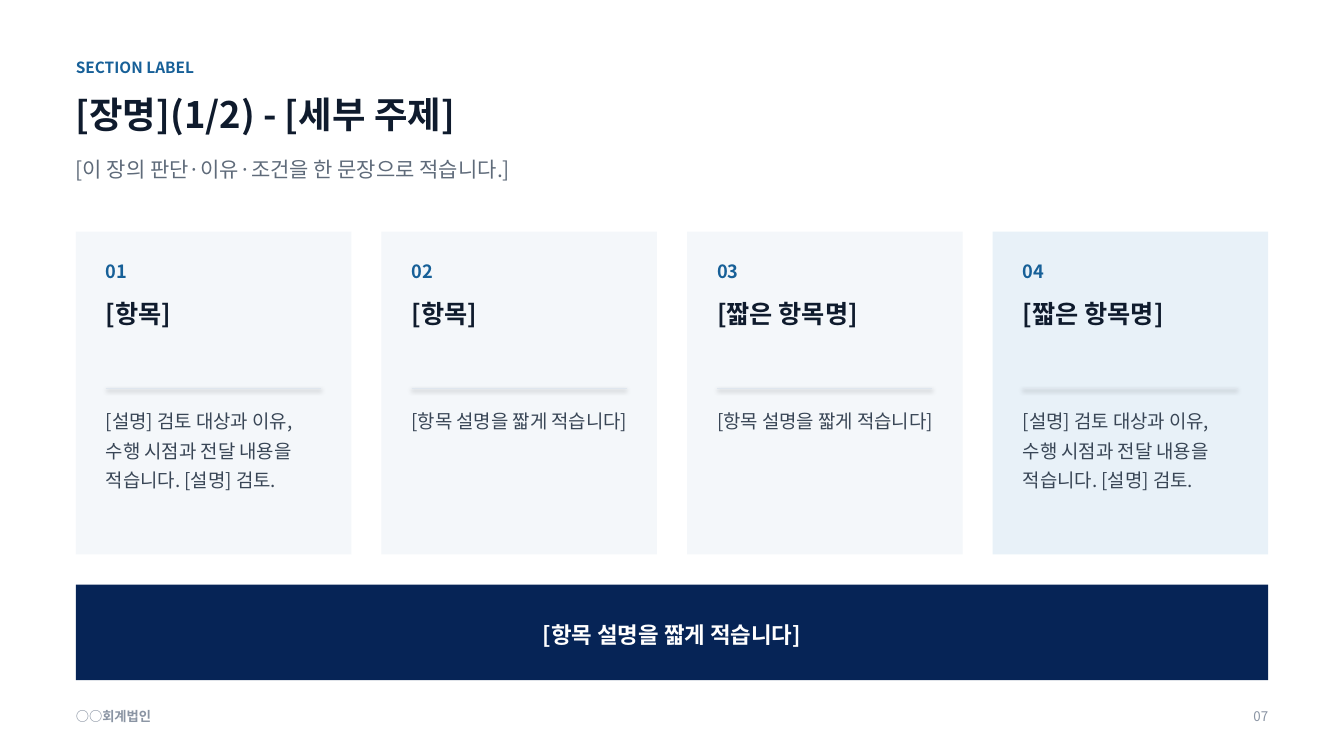
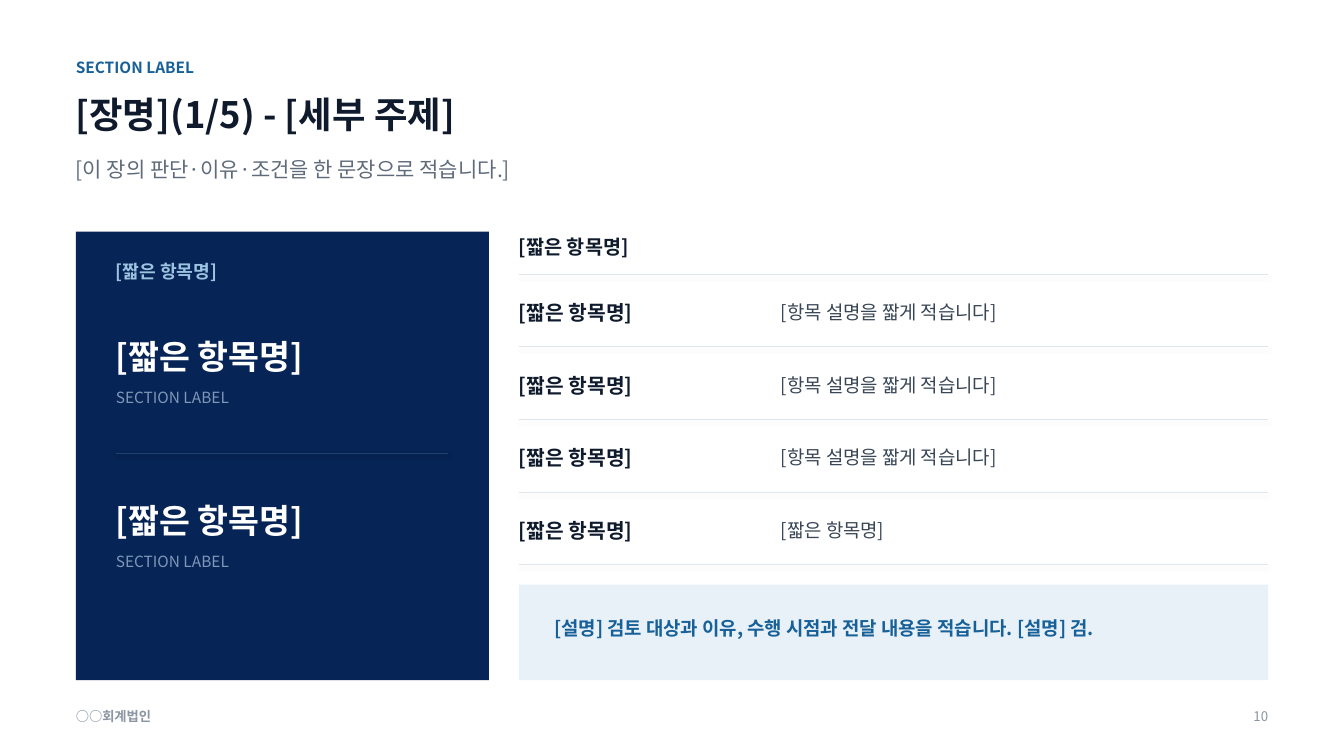
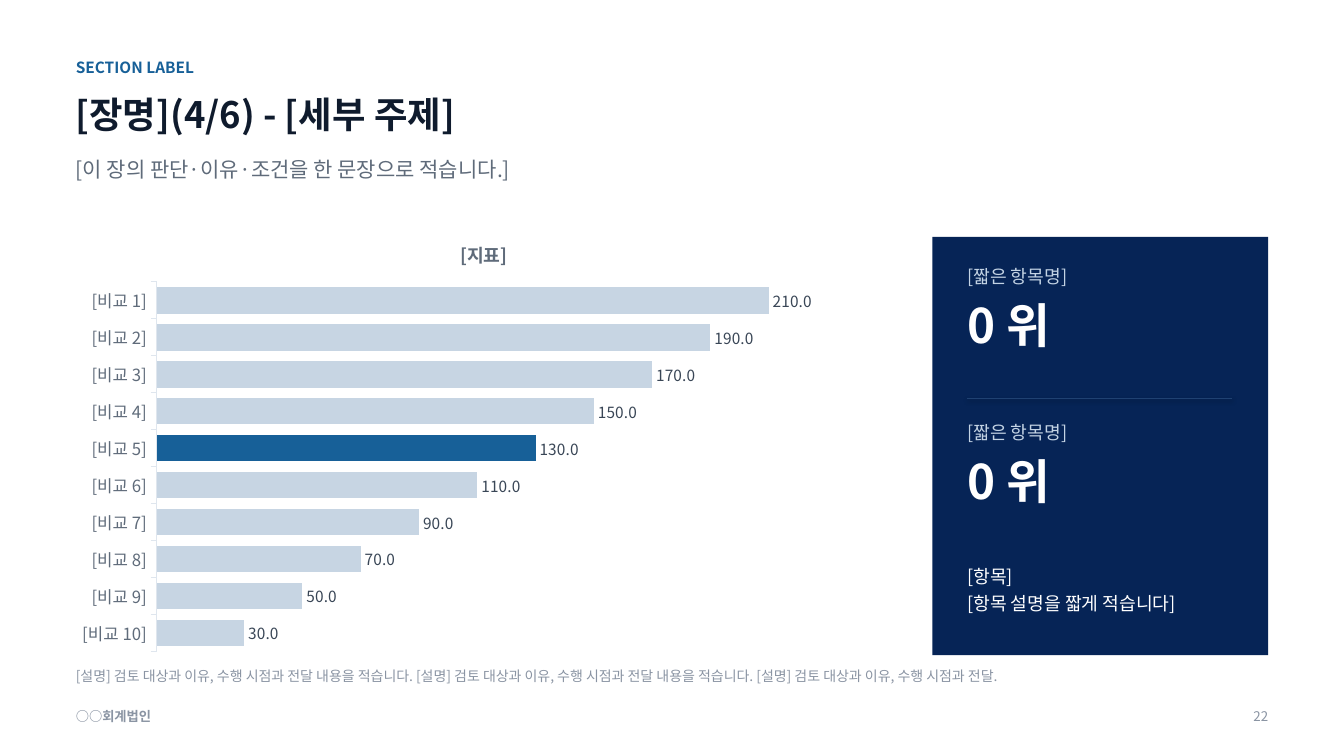
from pptx import Presentation
from pptx.chart.data import CategoryChartData
from pptx.dml.color import RGBColor
from pptx.enum.chart import XL_CHART_TYPE as CHART, XL_LABEL_POSITION as LABEL_POS
from pptx.enum.chart import XL_TICK_MARK as TICK
from pptx.enum.shapes import MSO_CONNECTOR as CONNECTOR, MSO_SHAPE as SHAPE
from pptx.enum.text import MSO_ANCHOR as ANCHOR, PP_ALIGN as ALIGN
from pptx.oxml.ns import qn
from pptx.util import Cm, Pt

FONT = "Noto Sans CJK KR"
COLORS = {
    "white": "FFFFFF", "ink": "0F1B2D", "body": "394656", "muted": "5F6B7A",
    "faint": "8A94A3", "blue": "176098", "navy": "062456", "card": "F4F7FA",
    "tint": "E8F1F8", "rule": "DFE6EE", "navy_rule": "1F4172", "sky": "9CC3E0",
    "steel": "7F97B8", "mist": "C3D3E4", "bar": "C7D5E3",
}
LEFT, WIDTH, TOP = 1.91, 30.05, 5.84
GAP = 0.76
BAND_TOP, BAND_H = 14.73, 2.41

ITEM = "[짧은 항목명]"
BRIEF = "[항목 설명을 짧게 적습니다]"
LABEL = "SECTION LABEL"
DETAIL = "[설명] 검토 대상과 이유, 수행 시점과 전달 내용을 적습니다."


def rgb(name):
    return RGBColor.from_string(COLORS[name])


def set_font(font, size, color, bold=False):
    for key, value in {"name": FONT, "size": Pt(size), "bold": bold}.items():
        setattr(font, key, value)
    font.color.rgb = rgb(color)


class Deck:
    def __init__(self):
        self.prs = Presentation()
        self.prs.slide_width, self.prs.slide_height = Cm(33.87), Cm(19.05)
        self.s = None

    def slide(self, title, page):
        """Start a slide with its heading and footer."""
        self.s = self.prs.slides.add_slide(self.prs.slide_layouts[6])
        self.text(LABEL, LEFT, 1.4, 22.86, 0.64, 11, "blue", bold=True)
        self.text(title, LEFT, 2.16, WIDTH, 1.52, 26, "ink", bold=True)
        self.text("[이 장의 판단·이유·조건을 한 문장으로 적습니다.]",
                  LEFT, 3.86, WIDTH, 1.6, 15, "muted")
        self.text("○○회계법인", LEFT, 17.78, 15.24, 0.56, 9.5, "faint", bold=True)
        self.text(page, LEFT + WIDTH - 2.54, 17.78, 2.54, 0.56, 9.5, "faint",
                  align=ALIGN.RIGHT)

    def fill_text(self, sp, text, size, color, bold=False, spacing=1.15,
                  align=ALIGN.LEFT, anchor=ANCHOR.TOP, insets=(0, 0, 0, 0)):
        """Fill a shape with text; insets are left, top, right, bottom."""
        tf = sp.text_frame
        tf.word_wrap = True
        tf.vertical_anchor = anchor
        for side, inset in zip(("left", "top", "right", "bottom"), insets):
            setattr(tf, f"margin_{side}", Cm(inset))
        for i, line in enumerate(text.split("\n")):
            p = tf.add_paragraph() if i else tf.paragraphs[0]
            p.alignment, p.line_spacing = align, spacing
            r = p.add_run()
            r.text = line
            set_font(r.font, size, color, bold)
            rpr = r._r.get_or_add_rPr()
            ea = rpr.makeelement(qn("a:ea"), {"typeface": FONT})
            rpr.find(qn("a:latin")).addnext(ea)

    def text(self, text, x, y, w, h, size, color, **style):
        sp = self.s.shapes.add_textbox(Cm(x), Cm(y), Cm(w), Cm(h))
        self.fill_text(sp, text, size, color, **style)

    def box(self, x, y, w, h, fill):
        sp = self.s.shapes.add_shape(SHAPE.RECTANGLE, Cm(x), Cm(y), Cm(w), Cm(h))
        sp.shadow.inherit = False
        sp.fill.solid()
        sp.fill.fore_color.rgb = rgb(fill)
        sp.line.fill.background()
        return sp

    def rule(self, x, y, w, color="rule"):
        """Draw a horizontal line that keeps the soft theme shadow."""
        line = self.s.shapes.add_connector(
            CONNECTOR.STRAIGHT, Cm(x), Cm(y), Cm(x + w), Cm(y)).line
        line.color.rgb = rgb(color)
        line.width = Pt(0.75)

    def bar_chart(self, name, cats, vals, highlight, x, y, w, h):
        data = CategoryChartData()
        data.categories = cats
        data.add_series(name, vals)
        chart = self.s.shapes.add_chart(
            CHART.BAR_CLUSTERED, Cm(x), Cm(y), Cm(w), Cm(h), data).chart
        set_font(chart.font, 11, "muted")
        chart.has_legend = False
        chart.has_title = True
        p = chart.chart_title.text_frame.paragraphs[0]
        r = p.add_run()
        r.text = name
        set_font(r.font, 13, "muted", bold=True)

        chart.value_axis.visible = False
        chart.value_axis.has_major_gridlines = False
        axis = chart.category_axis
        axis.major_tick_mark = TICK.OUTSIDE
        axis.format.line.color.rgb = rgb("rule")
        axis.format.line.width = Pt(0.75)
        set_font(axis.tick_labels.font, 12, "muted")

        plot = chart.plots[0]
        plot.gap_width = 40
        plot.vary_by_categories = False
        series = plot.series[0]
        series.invert_if_negative = False
        for target, color in ((series, "bar"), (series.points[highlight], "blue")):
            target.format.fill.solid()
            target.format.fill.fore_color.rgb = rgb(color)
        labels = series.data_labels
        for key, value in {"show_value": True, "position": LABEL_POS.OUTSIDE_END,
                           "number_format": "#,##0.0",
                           "number_format_is_linked": False}.items():
            setattr(labels, key, value)
        set_font(labels.font, 11, "body")


def cards_slide(deck):
    deck.slide("[장명](1/2) - [세부 주제]", "07")
    long_text = DETAIL + " [설명] 검토."
    cards = [("[항목]", long_text, "card"), ("[항목]", BRIEF, "card"),
             (ITEM, BRIEF, "card"), (ITEM, long_text, "tint")]
    card_w = (WIDTH - GAP * (len(cards) - 1)) / len(cards)
    for i, (title, body, fill) in enumerate(cards):
        card_x = LEFT + i * (card_w + GAP)
        x = card_x + GAP
        deck.box(card_x, TOP, card_w, 8.13, fill)
        deck.text(f"{i + 1:02}", x, 6.48, 2.54, 0.76, 13, "blue", bold=True)
        deck.text(title, x, 7.37, 5.54, 2.29, 18, "ink", bold=True, spacing=1.2)
        deck.rule(x, 9.78, card_w - 2 * GAP)
        deck.text(body, x, 10.16, 5.54, 3.3, 13.5, "body", spacing=1.3)
    banner = deck.box(LEFT, BAND_TOP, WIDTH, BAND_H, "navy")
    deck.fill_text(banner, BRIEF, 16, "white", bold=True, align=ALIGN.CENTER,
                   anchor=ANCHOR.MIDDLE)


def list_slide(deck):
    deck.slide("[장명](1/5) - [세부 주제]", "10")
    x, w = 2.92, 8.64
    deck.box(LEFT, TOP, 10.41, 11.3, "navy")
    deck.text(ITEM, x, 6.48, w, 0.76, 13, "sky", bold=True)
    for y in (8.31, 12.45):
        deck.text(ITEM, x, y, w, 1.27, 24, "white", bold=True)
        deck.text(LABEL, x, y + 1.4, w, 0.76, 11, "steel")
    deck.rule(x, 11.43, 8.38, "navy_rule")

    x, row_top, row_h, name_w = 13.08, 6.91, 1.83, 6.6
    w = LEFT + WIDTH - x
    deck.text(ITEM, x, TOP, 9.27, 0.76, 14, "ink", bold=True)
    deck.rule(x, row_top, w)
    for i, description in enumerate((BRIEF, BRIEF, BRIEF, ITEM)):
        y = row_top + i * row_h
        deck.text(ITEM, x, y, name_w, row_h, 14.5, "ink", bold=True,
                  anchor=ANCHOR.MIDDLE)
        deck.text(description, x + name_w, y, w - name_w, row_h, 13.5, "body",
                  anchor=ANCHOR.MIDDLE)
        deck.rule(x, y + row_h, w)
    callout = deck.box(x, BAND_TOP, w, BAND_H, "tint")
    deck.fill_text(callout, DETAIL + " [설명] 검.", 13.5, "blue", bold=True,
                   anchor=ANCHOR.MIDDLE, insets=(0.89, 0, 0.89, 0.33))


def chart_slide(deck):
    deck.slide("[장명](4/6) - [세부 주제]", "22")
    deck.bar_chart("[지표]", [f"[비교 {n}]" for n in range(10, 0, -1)],
                   range(30, 211, 20), 5, 1.65, 5.59, 21.08, 11.05)
    x, w = 24.38, 6.93
    deck.box(23.5, 5.97, 8.46, 10.54, "navy")
    for y in (6.6, 10.54):
        deck.text(ITEM, x, y, w, 0.76, 13, "mist")
        deck.text("0 위", x, y + 0.64, w, 2.41, 34, "white", bold=True)
    deck.rule(x, 10.03, 6.68, "navy_rule")
    deck.text(f"[항목]\n{BRIEF}", x, 14.1, w, 1.78, 13, "white", spacing=1.25)
    deck.text(f"{DETAIL} {DETAIL} [설명] 검토 대상과 이유, 수행 시점과 전달.",
              LEFT, 16.76, WIDTH, 0.76, 10, "faint")


def main():
    deck = Deck()
    for build in (cards_slide, list_slide, chart_slide):
        build(deck)
    deck.prs.save("out.pptx")


if __name__ == "__main__":
    main()
